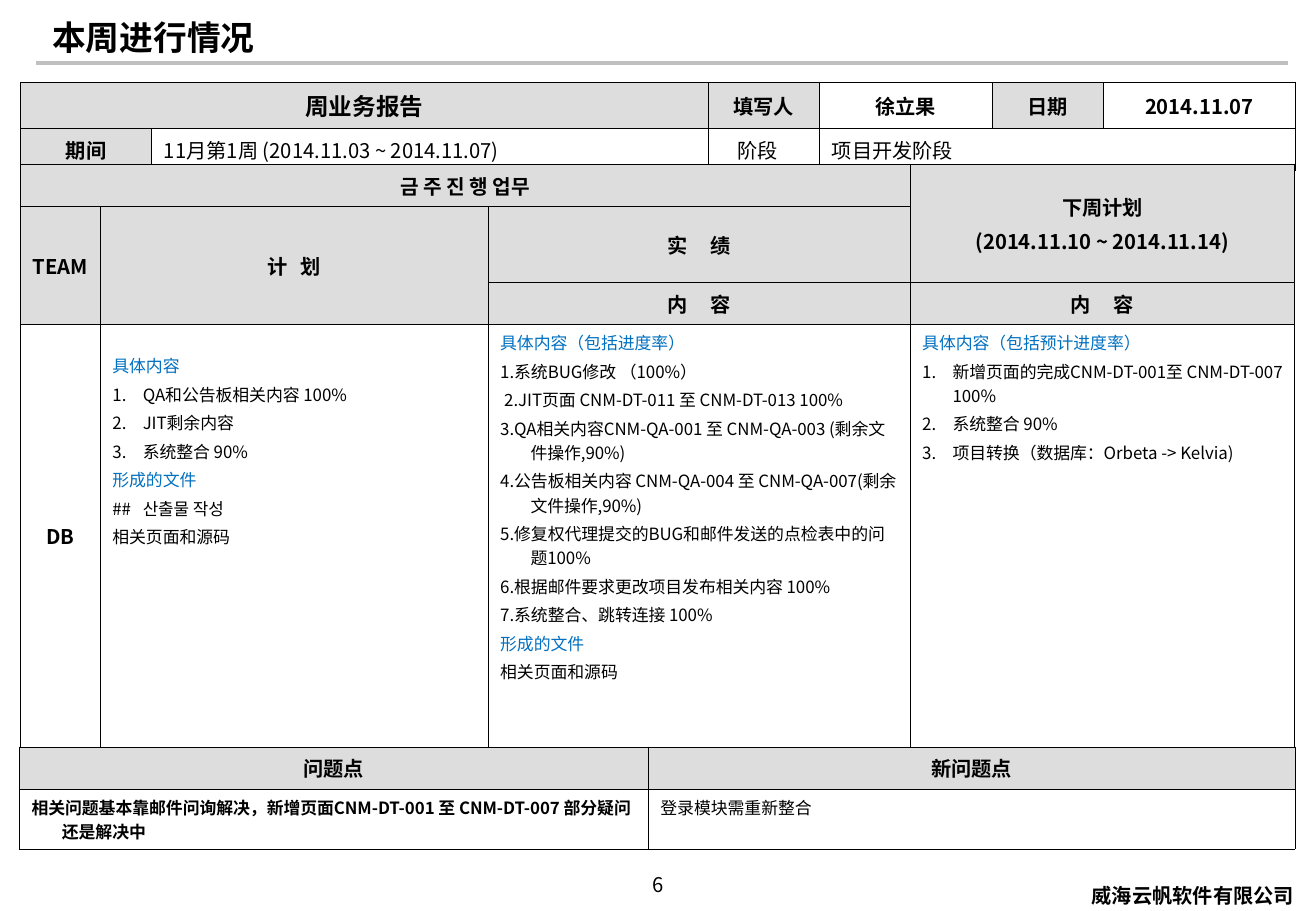
"""Build the weekly project report slide."""
from lxml.etree import SubElement
from pptx import Presentation
from pptx.dml.color import RGBColor
from pptx.enum.shapes import MSO_CONNECTOR
from pptx.enum.text import MSO_ANCHOR, PP_ALIGN
from pptx.oxml.ns import qn
from pptx.util import Pt

BLACK = RGBColor(0x00, 0x00, 0x00)
WHITE = RGBColor(0xFF, 0xFF, 0xFF)
GREY = RGBColor(0xDD, 0xDD, 0xDD)
RULE_GREY = RGBColor(0xC0, 0xC0, 0xC0)
BLUE = RGBColor(0x00, 0x70, 0xC0)

FONT = "Noto Sans CJK KR"
FOOTER_FONT = "Noto Sans CJK SC"
CENTER, LEFT = PP_ALIGN.CENTER, PP_ALIGN.LEFT
MIDDLE, TOP = MSO_ANCHOR.MIDDLE, MSO_ANCHOR.TOP
HANG = 18

PLAIN = {"size": 12, "bold": False, "align": LEFT, "color": BLACK, "font": FONT,
         "before": 3, "margin": 0, "indent": 0, "numbered": False, "spacing": 0}
HEAD = PLAIN | {"bold": True, "align": CENTER}
REPORT_HEAD = HEAD | {"size": 14}
TITLE = PLAIN | {"size": 20, "bold": True}
PAGE = PLAIN | {"align": CENTER}
FOOTER = HEAD | {"font": FOOTER_FONT}
STAGE = PLAIN | {"margin": 10}
ITEM = PLAIN | {"size": 10, "before": 2.5, "margin": HANG, "indent": -HANG}
TOPIC = ITEM | {"color": BLUE}
NUMBERED = ITEM | {"numbered": True}
SHIFTED = ITEM | {"indent": 2.4 - HANG}
ISSUE = ITEM | {"bold": True}
NARROW_GAP = HEAD | {"spacing": 2.6}
WIDE_GAP = HEAD | {"spacing": 5.4}


def set_format(target, values):
    """Set each named attribute of the target."""
    for name, value in values.items():
        setattr(target, name, value)


def add_run(paragraph, text, style, spacing=0):
    """Add a run with the font values of the style."""
    run = paragraph.add_run()
    run.text = text
    set_format(run.font, {"size": Pt(style["size"]), "bold": style["bold"],
                          "name": style["font"]})
    run.font.color.rgb = style["color"]
    properties = run.font._element
    SubElement(properties, qn("a:ea"), typeface=style["font"])
    if spacing:
        properties.set("spc", str(round(spacing * 100)))


def write_lines(frame, lines):
    """Fill a text frame with (text, style) paragraphs."""
    for index, (text, style) in enumerate(lines):
        paragraph = frame.add_paragraph() if index else frame.paragraphs[0]
        properties = paragraph._p.get_or_add_pPr()
        properties.set("marL", str(Pt(style["margin"])))
        properties.set("indent", str(Pt(style["indent"])))
        if style["numbered"]:
            SubElement(properties, qn("a:buAutoNum"), type="arabicPeriod")
        set_format(paragraph, {"alignment": style["align"],
                               "space_before": Pt(style["before"] if index else 0)})
        if style["spacing"]:
            add_run(paragraph, text[:-1], style, style["spacing"])
            text = text[-1]
        add_run(paragraph, text, style)


def add_label(slide, left, top, width, height, text, style, anchor=TOP):
    """Add a one-line text box."""
    shape = slide.shapes.add_textbox(Pt(left), Pt(top), Pt(width), Pt(height))
    set_format(shape.text_frame, {"word_wrap": True, "vertical_anchor": anchor})
    write_lines(shape.text_frame, [(text, style)])


def add_rule(slide, left, right, y):
    """Add the grey line below the title."""
    line = slide.shapes.add_connector(MSO_CONNECTOR.STRAIGHT,
                                      Pt(left), Pt(y), Pt(right), Pt(y))
    line.line.color.rgb = RULE_GREY
    line.line.width = Pt(2.25)
    SubElement(line._element.spPr, qn("a:effectLst"))


def style_cell(cell, fill):
    """Draw thin black borders and a solid fill."""
    properties = cell._tc.get_or_add_tcPr()
    for side in ("lnL", "lnR", "lnT", "lnB"):
        border = SubElement(properties, qn(f"a:{side}"), w=str(Pt(0.45)))
        solid = SubElement(border, qn("a:solidFill"))
        SubElement(solid, qn("a:srgbClr"), val=str(BLACK))
    cell.fill.solid()
    cell.fill.fore_color.rgb = fill


def add_grid(slide, left, top, widths, heights, cells, merges=()):
    """Add a table from {(row, column): (fill, anchor, lines)}."""
    frame = slide.shapes.add_table(len(heights), len(widths), Pt(left), Pt(top),
                                   Pt(sum(widths)), Pt(sum(heights)))
    table = frame.table
    set_format(table, {"first_row": False, "horz_banding": False})
    for column, width in zip(table.columns, widths):
        column.width = Pt(width)
    for row, height in zip(table.rows, heights):
        row.height = Pt(height)
    for start, end in merges:
        table.cell(*start).merge(table.cell(*end))
    for row in range(len(heights)):
        for column in range(len(widths)):
            cell = table.cell(row, column)
            fill, anchor, lines = cells.get((row, column), (GREY, MIDDLE, []))
            style_cell(cell, fill)
            cell.vertical_anchor = anchor
            write_lines(cell.text_frame, lines)
    return table


def head(*texts, style=HEAD):
    """Describe a grey heading cell."""
    return GREY, MIDDLE, [(text, style) for text in texts]


def value(text, style=PLAIN):
    """Describe a white one-line cell."""
    return WHITE, MIDDLE, [(text, style)]


def body(*lines):
    """Describe a white cell of top-aligned lines."""
    return WHITE, TOP, lines


def add_report_info(slide):
    """Add the table naming the author, date and period."""
    add_grid(slide, 12.2, 48.8, [77.8, 330, 66.2, 102.2, 66.2, 113.6], [27.4, 24.9], {
        (0, 0): head("周业务报告", style=REPORT_HEAD),
        (0, 2): head("填写人"),
        (0, 3): value("徐立果", HEAD),
        (0, 4): head("日期"),
        (0, 5): value("2014.11.07", HEAD),
        (1, 0): head("期间"),
        (1, 1): value("11月第1周 (2014.11.03 ~ 2014.11.07)"),
        (1, 2): value("阶段", STAGE),
        (1, 3): value("项目开发阶段"),
    }, [((0, 0), (0, 1)), ((1, 3), (1, 5))])


def add_work(slide):
    """Add the table of plans, results and next week."""
    table = add_grid(slide, 12, 97.5, [47.5, 230, 250.3, 228.2], [24.9, 45.1, 24.6, 250.7], {
        (0, 0): head("금 주 진 행 업무"),
        (0, 3): head("下周计划", "(2014.11.10 ~ 2014.11.14)"),
        (1, 0): head("TEAM"),
        (1, 1): head("计 划", style=NARROW_GAP),
        (1, 2): head("实 绩", style=WIDE_GAP),
        (2, 2): head("内 容", style=WIDE_GAP),
        (2, 3): head("内 容", style=WIDE_GAP),
        (3, 0): value("DB", HEAD),
        (3, 1): body(("具体内容", TOPIC),
                     ("QA和公告板相关内容 100%", NUMBERED),
                     ("JIT剩余内容", NUMBERED),
                     ("系统整合 90%", NUMBERED),
                     ("形成的文件", TOPIC),
                     ("##\t산출물 작성", ITEM),
                     ("相关页面和源码", ITEM)),
        (3, 2): body(("具体内容（包括进度率）", TOPIC),
                     ("1.系统BUG修改 （100%）", ITEM),
                     ("2.JIT页面 CNM-DT-011 至 CNM-DT-013 100%", SHIFTED),
                     ("3.QA相关内容CNM-QA-001 至 CNM-QA-003 (剩余文件操作,90%)", ITEM),
                     ("4.公告板相关内容 CNM-QA-004 至 CNM-QA-007(剩余文件操作,90%)", ITEM),
                     ("5.修复权代理提交的BUG和邮件发送的点检表中的问题100%", ITEM),
                     ("6.根据邮件要求更改项目发布相关内容 100%", ITEM),
                     ("7.系统整合、跳转连接 100%", ITEM),
                     ("形成的文件", TOPIC),
                     ("相关页面和源码", ITEM)),
        (3, 3): body(("具体内容（包括预计进度率）", TOPIC),
                     ("新增页面的完成CNM-DT-001至 CNM-DT-007 100%", NUMBERED),
                     ("系统整合 90%", NUMBERED),
                     ("项目转换（数据库：Orbeta -> Kelvia)", NUMBERED)),
    }, [((0, 0), (0, 2)), ((0, 3), (1, 3)), ((1, 0), (2, 0)), ((1, 1), (2, 1))])
    table.cell(3, 1).margin_top = Pt(17.3)


def add_issues(slide):
    """Add the table of open and new issues."""
    add_grid(slide, 11.5, 442.8, [373, 383.5], [24.9, 35.6], {
        (0, 0): head("问题点"),
        (0, 1): head("新问题点"),
        (1, 0): body(("相关问题基本靠邮件问询解决，新增页面CNM-DT-001 至 CNM-DT-007 部分疑问还是解决中", ISSUE)),
        (1, 1): body(("登录模块需重新整合", ITEM)),
    })


def main():
    """Build and save the slide."""
    presentation = Presentation()
    presentation.slide_width = Pt(780.48)
    presentation.slide_height = Pt(540)
    slide = presentation.slides.add_slide(presentation.slide_layouts[6])
    add_rule(slide, 21.6, 764, 37.4)
    add_label(slide, 635.5, 519.8, 144, 20, "威海云帆软件有限公司", FOOTER)
    add_label(slide, 315.4, 513.7, 149.8, 20, "6", PAGE)
    add_label(slide, 23.8, 6.5, 632, 31, "本周进行情况", TITLE, MIDDLE)
    add_report_info(slide)
    add_work(slide)
    add_issues(slide)
    presentation.save("out.pptx")


if __name__ == "__main__":
    main()
